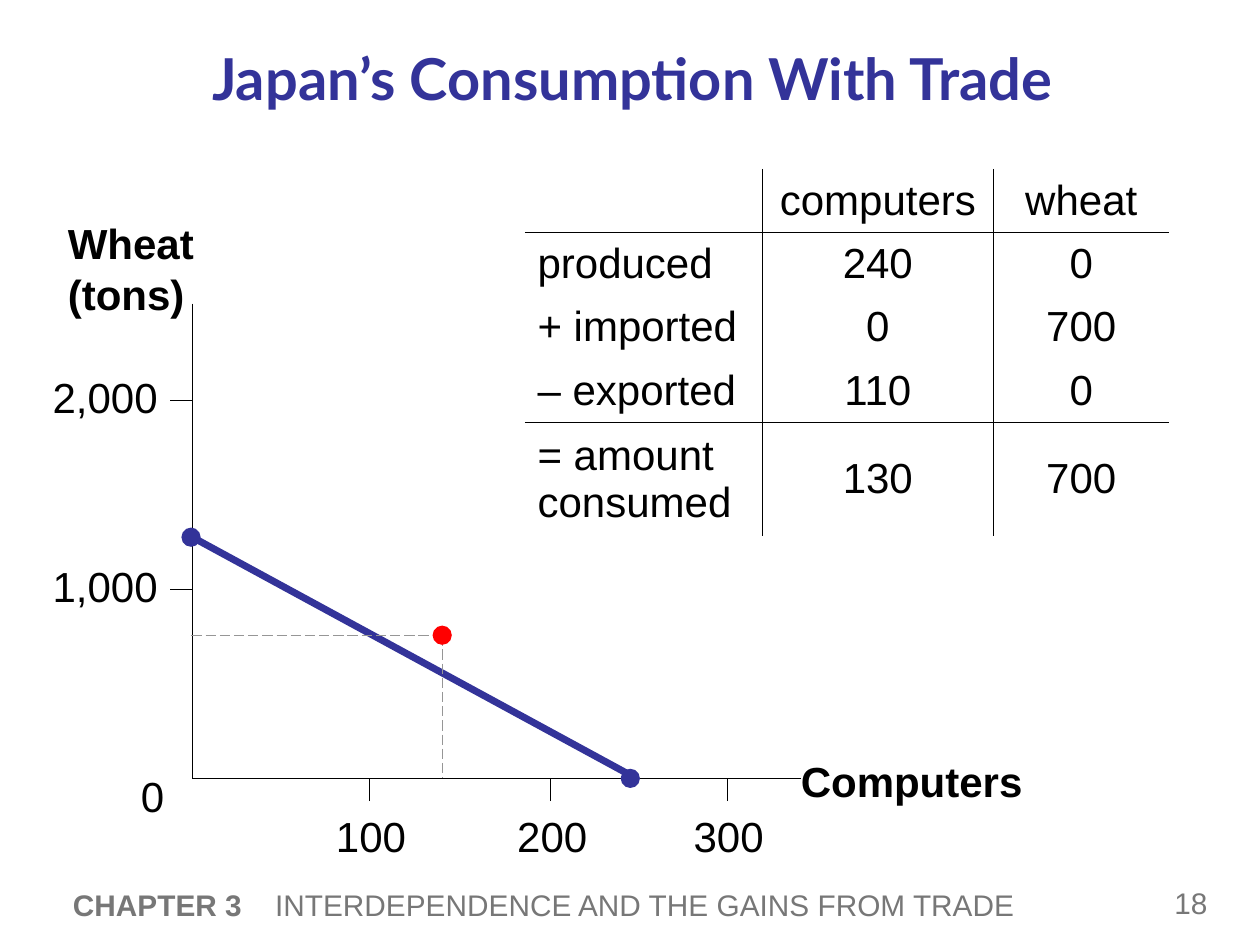
"""Build a slide on what Japan consumes once it trades."""
from lxml.etree import SubElement
from pptx import Presentation
from pptx.dml.color import RGBColor
from pptx.enum.dml import MSO_LINE
from pptx.enum.shapes import MSO_CONNECTOR, MSO_SHAPE
from pptx.enum.text import MSO_ANCHOR, MSO_AUTO_SIZE, PP_ALIGN
from pptx.oxml.ns import qn
from pptx.util import Pt

BLACK, BLUE, GREY, RED, WHITE = "000000", "333399", "777777", "FF0000", "FFFFFF"
DASH = "969696"


def tint(code):
    return RGBColor.from_string(code)


def write(frame, text, size=24, font="Arial", color=BLACK, bold=False,
          align=PP_ALIGN.LEFT, anchor=MSO_ANCHOR.TOP):
    frame.word_wrap = True
    frame.vertical_anchor = anchor
    para = frame.paragraphs[0]
    para.alignment = align
    run = para.add_run()
    run.text = text
    run.font.size = Pt(size)
    run.font.name = font
    run.font.bold = bold
    run.font.color.rgb = tint(color)
    return para


class Deck:
    def __init__(self, wide, high):
        self.file = Presentation()
        self.file.slide_width, self.file.slide_height = Pt(wide), Pt(high)
        self.slide = self.file.slides.add_slide(self.file.slide_layouts[5])
        self.shapes = self.slide.shapes

    def title(self, text, x, y, w, h):
        box = self.shapes.title
        box.left, box.top, box.width, box.height = Pt(x), Pt(y), Pt(w), Pt(h)
        box.text_frame.auto_size = MSO_AUTO_SIZE.NONE
        write(box.text_frame, text, size=33, font="Lato", color=BLUE,
              bold=True, align=PP_ALIGN.CENTER, anchor=MSO_ANCHOR.MIDDLE)

    def label(self, text, x, y, w, h=36, **style):
        box = self.shapes.add_textbox(Pt(x), Pt(y), Pt(w), Pt(h))
        write(box.text_frame, text, **style)
        return box.text_frame

    def line(self, start, end, width=0.75, color=BLACK, dash=None):
        bar = self.shapes.add_connector(
            MSO_CONNECTOR.STRAIGHT, *[Pt(n) for n in (*start, *end)])
        bar.line.width = Pt(width)
        bar.line.color.rgb = tint(color)
        if dash:
            bar.line.dash_style = dash
        SubElement(bar._element.spPr, qn("a:effectLst"))

    def dot(self, x, y, color, size=11):
        mark = self.shapes.add_shape(
            MSO_SHAPE.OVAL, Pt(x - size / 2), Pt(y - size / 2), Pt(size), Pt(size))
        mark.shadow.inherit = False
        mark.fill.solid()
        mark.fill.fore_color.rgb = tint(color)
        mark.line.fill.background()

    def edge(self, cell, side, shown):
        rule = SubElement(cell._tc.get_or_add_tcPr(), qn("a:ln" + side),
                          w=str(Pt(0.45)))
        if shown:
            fill = SubElement(rule, qn("a:solidFill"))
            SubElement(fill, qn("a:srgbClr"), val=BLACK)
        else:
            SubElement(rule, qn("a:noFill"))

    def table(self, rows, x, y, wides, highs, ruled):
        grid = self.shapes.add_table(
            len(rows), len(wides), Pt(x), Pt(y),
            Pt(sum(wides)), Pt(sum(highs))).table
        grid.first_row = grid.horz_banding = False
        for col, wide in zip(grid.columns, wides):
            col.width = Pt(wide)
        for r, row in enumerate(rows):
            grid.rows[r].height = Pt(highs[r])
            for c, text in enumerate(row):
                cell = grid.cell(r, c)
                self.edge(cell, "L", c > 0)
                self.edge(cell, "R", c < len(wides) - 1)
                self.edge(cell, "T", r - 1 in ruled)
                self.edge(cell, "B", r in ruled)
                cell.fill.solid()
                cell.fill.fore_color.rgb = tint(WHITE)
                cell.vertical_anchor = MSO_ANCHOR.MIDDLE
                if text:
                    write(cell.text_frame, text, anchor=MSO_ANCHOR.MIDDLE,
                          align=PP_ALIGN.CENTER if c else PP_ALIGN.LEFT)


def main():
    deck = Deck(720, 540)
    foot = dict(size=17, color=GREY, anchor=MSO_ANCHOR.MIDDLE)
    deck.label("18", 664, 501, 48, 30, **foot)
    frame = deck.label("CHAPTER 3", 34.6, 501, 618, 32, bold=True, **foot)
    para = write(frame, "\tINTERDEPENDENCE AND THE GAINS FROM TRADE", **foot)
    tabs = SubElement(para._p.get_or_add_pPr(), qn("a:tabLst"))
    SubElement(tabs, qn("a:tab"), pos=str(Pt(115.5)), algn="l")
    deck.title("Japan’s Consumption With Trade", 37.5, 18.7, 648, 51)

    left, base = 110, 444.8
    deck.label("Computers", 450.5, 428.4, 151, bold=True)
    deck.label("Wheat (tons)", 31.7, 121, 87, 65, bold=True)
    deck.line((left, 173.5), (left, base))
    deck.line((left, base), (458, base))
    for text, y in (("2,000", 229), ("1,000", 337)):
        deck.line((left, y), (left - 13, y), 0.25)
        deck.label(text, 23, y - 20, 75.6)
    for text, x in (("100", 211), ("200", 314.6), ("300", 415.4)):
        deck.line((x, base + 13), (x, base), 0.25)
        deck.label(text, x - 45.5, 459.4, 93, align=PP_ALIGN.CENTER)
    deck.label("0", 60.5, 437, 53.3, align=PP_ALIGN.CENTER)

    deck.line((109.4, 306.7), (363.6, base), 4, BLUE)
    deck.dot(109.2, 307, BLUE)
    deck.dot(360.2, base, BLUE)
    x, y = 252.7, 363
    deck.line((109.4, y), (x, y), color=DASH, dash=MSO_LINE.LONG_DASH)
    deck.line((x, y), (x, base), color=DASH, dash=MSO_LINE.LONG_DASH)
    deck.dot(x, y, RED)

    rows = (
        ("", "computers", "wheat"),
        ("produced", "240", "0"),
        ("+ imported", "0", "700"),
        ("– exported", "110", "0"),
        ("= amount consumed", "130", "700"),
    )
    deck.table(rows, 300, 96.5, (135.4, 132.5, 100), [36.2] * 4 + [65], (0, 3))
    deck.file.save("out.pptx")


if __name__ == "__main__":
    main()
